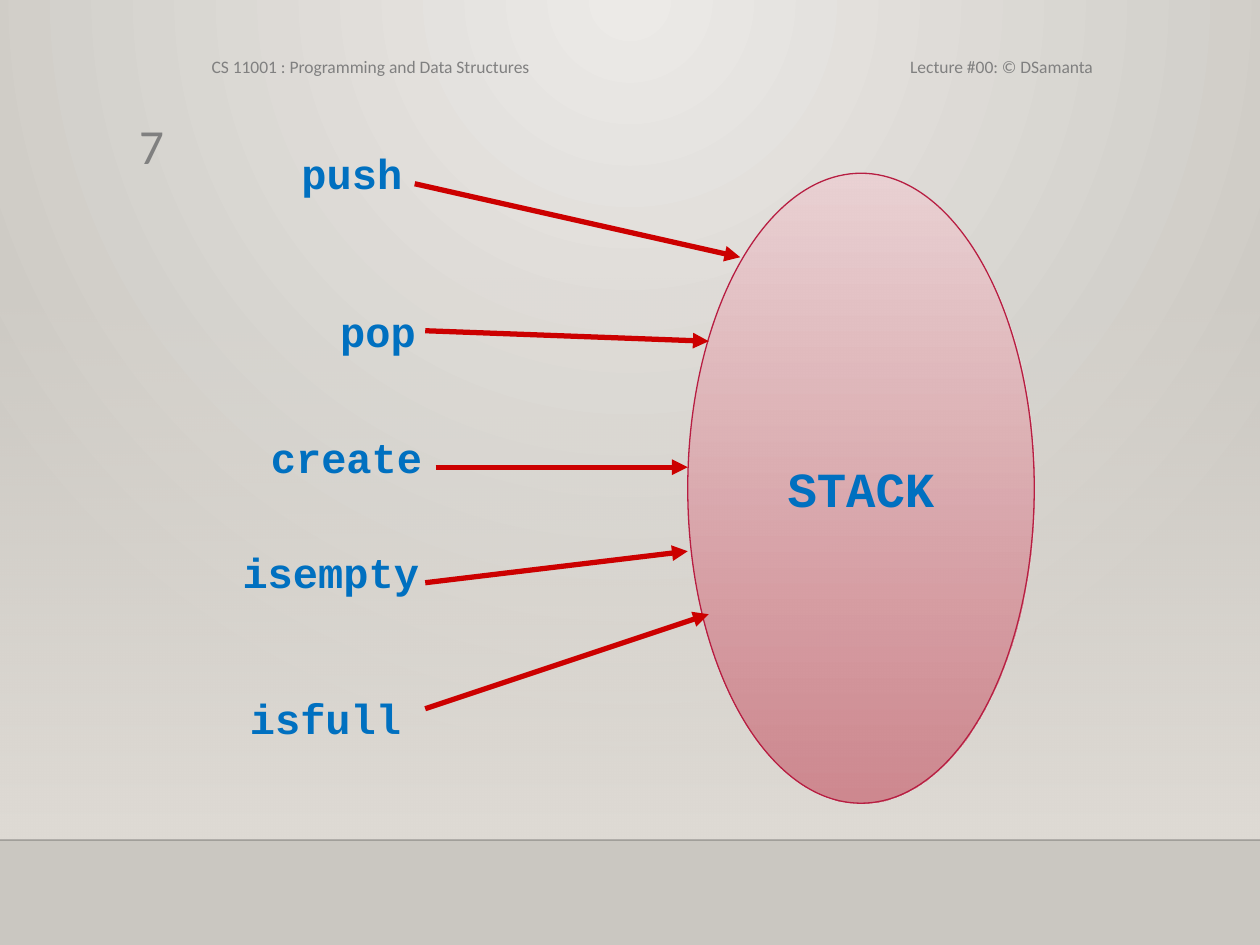
"""Build a slide showing the operations that act on a stack."""
from dataclasses import dataclass

import pptx
import pptx.dml.color
import pptx.enum.shapes
import pptx.enum.text
import pptx.oxml
import pptx.oxml.ns
import pptx.util

Pt = pptx.util.Pt
qn = pptx.oxml.ns.qn
ALIGN = pptx.enum.text.PP_ALIGN
ANCHOR = pptx.enum.text.MSO_ANCHOR
SHAPE = pptx.enum.shapes.MSO_SHAPE

COLORS = {
    "centre": "ECEAE7",
    "edge": "CAC7C1",
    "floor": "DFDBD5",
    "horizon": "000001",
    "muted": "808080",
    "stack_top": "EAD1D3",
    "stack_bottom": "CD828A",
    "stack_line": "B71E42",
    "arrow": "CC0000",
    "code": "0070C0",
}


@dataclass(frozen=True)
class Style:
    font: str
    size: float
    color: str
    bold: bool = False


@dataclass(frozen=True)
class Caption:
    text: str
    box: tuple[float, float, float, float]
    size: float
    align: ALIGN
    anchor: ANCHOR


@dataclass(frozen=True)
class Operation:
    name: str
    left: float
    top: float
    width: float
    start: tuple[float, float]
    end: tuple[float, float]


CAPTIONS = [
    Caption("Lecture #00: © DSamanta", (445, 26, 186.5, 24.5), 10, ALIGN.RIGHT, ANCHOR.MIDDLE),
    Caption("CS 11001 : Programming and Data Structures", (113.8, 26, 317.5, 24.5), 10,
            ALIGN.LEFT, ANCHOR.MIDDLE),
    Caption("7", (38, 62.6, 62.8, 39.6), 28, ALIGN.RIGHT, ANCHOR.TOP),
]
OPERATIONS = [
    Operation("push", 153, 81, 96, (237, 105), (423, 147)),
    Operation("pop", 159, 171, 114, (243, 189), (405, 195)),
    Operation("create", 147, 243, 102, (249, 267), (393, 267)),
    Operation("isempty", 129, 309, 120, (243, 333), (393, 315)),
    Operation("isfull", 129, 392.4, 114, (243, 405), (405, 351)),
]
LABEL_HEIGHT = 36
LABEL_STYLE = Style("Courier New", 24, "code", True)
STACK_STYLE = Style("Courier New", 28, "code", True)


def rgb(name: str) -> pptx.dml.color.RGBColor:
    """Return the named colour."""
    return pptx.dml.color.RGBColor.from_string(COLORS[name])


def add_xml(parent, tag: str, **attributes: str):
    """Append a drawing element to its parent and return it."""
    child = parent.makeelement(qn(tag), attributes)
    parent.append(child)
    return child


def set_gradient(fill, first: str, last: str) -> None:
    """Give a fill two colour stops."""
    fill.gradient()
    for stop, name in zip(fill.gradient_stops, (first, last)):
        stop.color.rgb = rgb(name)


def set_opacity(element, *percents: int) -> None:
    """Set the opacity of the colours of an element, in order."""
    for color, percent in zip(element.iter(qn("a:srgbClr")), percents):
        add_xml(color, "a:alpha", val=str(percent * 1000))


def write(frame, text: str, style: Style, align: ALIGN, anchor: ANCHOR):
    """Write one formatted paragraph and return it."""
    frame.text = text
    frame.vertical_anchor = anchor
    paragraph = frame.paragraphs[0]
    paragraph.alignment = align
    font = paragraph.runs[0].font
    font.name, font.size, font.bold = style.font, Pt(style.size), style.bold
    font.color.rgb = rgb(style.color)
    return paragraph


def add_text(slide, box: tuple, text: str, style: Style, align: ALIGN, anchor: ANCHOR):
    """Add a wrapping text box and return its paragraph."""
    frame = slide.shapes.add_textbox(*map(Pt, box)).text_frame
    frame.word_wrap = True
    return write(frame, text, style, align, anchor)


def add_line(slide, start: tuple, end: tuple, color: str, width: float):
    """Add a straight line without a shadow."""
    line = slide.shapes.add_connector(
        pptx.enum.shapes.MSO_CONNECTOR.STRAIGHT, *map(Pt, (*start, *end)))
    line.line.color.rgb = rgb(color)
    line.line.width = Pt(width)
    add_xml(line.element.spPr, "a:effectLst")
    return line


def add_gradient_shape(slide, kind: SHAPE, box: tuple, first: str, last: str):
    """Add a shape shaded from top to bottom."""
    shape = slide.shapes.add_shape(kind, *map(Pt, box))
    shape.shadow.inherit = False
    set_gradient(shape.fill, first, last)
    shape.fill.gradient_angle = 270
    return shape


def draw_backdrop(slide) -> None:
    """Draw the radial background, the fading wall and the horizon."""
    set_gradient(slide.background.fill, "centre", "edge")
    gradient = next(slide.element.iter(qn("a:gradFill")))
    gradient.remove(gradient.find(qn("a:lin")))
    radial = add_xml(gradient, "a:path", path="circle")
    add_xml(radial, "a:fillToRect", l="43000", t="0", r="43000", b="100000")
    wall = add_gradient_shape(slide, SHAPE.RECTANGLE, (0, 158.4, 720, 321.6), "floor", "floor")
    wall.line.fill.background()
    set_opacity(wall.element, 0, 100)
    horizon = add_line(slide, (0, 480), (720, 480), "horizon", 1)
    set_opacity(horizon.element, 20)


def draw_stack(slide) -> None:
    """Draw the stack ellipse."""
    stack = add_gradient_shape(
        slide, SHAPE.OVAL, (393, 99, 198, 360), "stack_top", "stack_bottom")
    set_opacity(stack.element, 100, 92)
    stack.line.color.rgb = rgb("stack_line")
    stack.line.width = Pt(0.75)
    stack.text_frame.word_wrap = False
    write(stack.text_frame, "STACK", STACK_STYLE, ALIGN.CENTER, ANCHOR.MIDDLE)


def draw_operation(slide, operation: Operation) -> None:
    """Draw an operation name and its arrow into the stack."""
    arrow = add_line(slide, operation.start, operation.end, "arrow", 3)
    add_xml(arrow.line._get_or_add_ln(), "a:tailEnd", type="triangle")
    box = (operation.left, operation.top, operation.width, LABEL_HEIGHT)
    label = add_text(slide, box, operation.name, LABEL_STYLE, ALIGN.CENTER, ANCHOR.TOP)
    spacing = add_xml(label._p.get_or_add_pPr(), "a:spcBef")
    add_xml(spacing, "a:spcPct", val="50000")


def main() -> None:
    """Build and save the slide."""
    deck = pptx.Presentation()
    deck.slide_width, deck.slide_height = Pt(720), Pt(540)
    slide = deck.slides.add_slide(deck.slide_layouts[6])
    draw_backdrop(slide)
    for caption in CAPTIONS:
        style = Style("Calibri", caption.size, "muted")
        add_text(slide, caption.box, caption.text, style, caption.align, caption.anchor)
    draw_stack(slide)
    for operation in OPERATIONS:
        draw_operation(slide, operation)
    deck.save("out.pptx")


if __name__ == "__main__":
    main()
